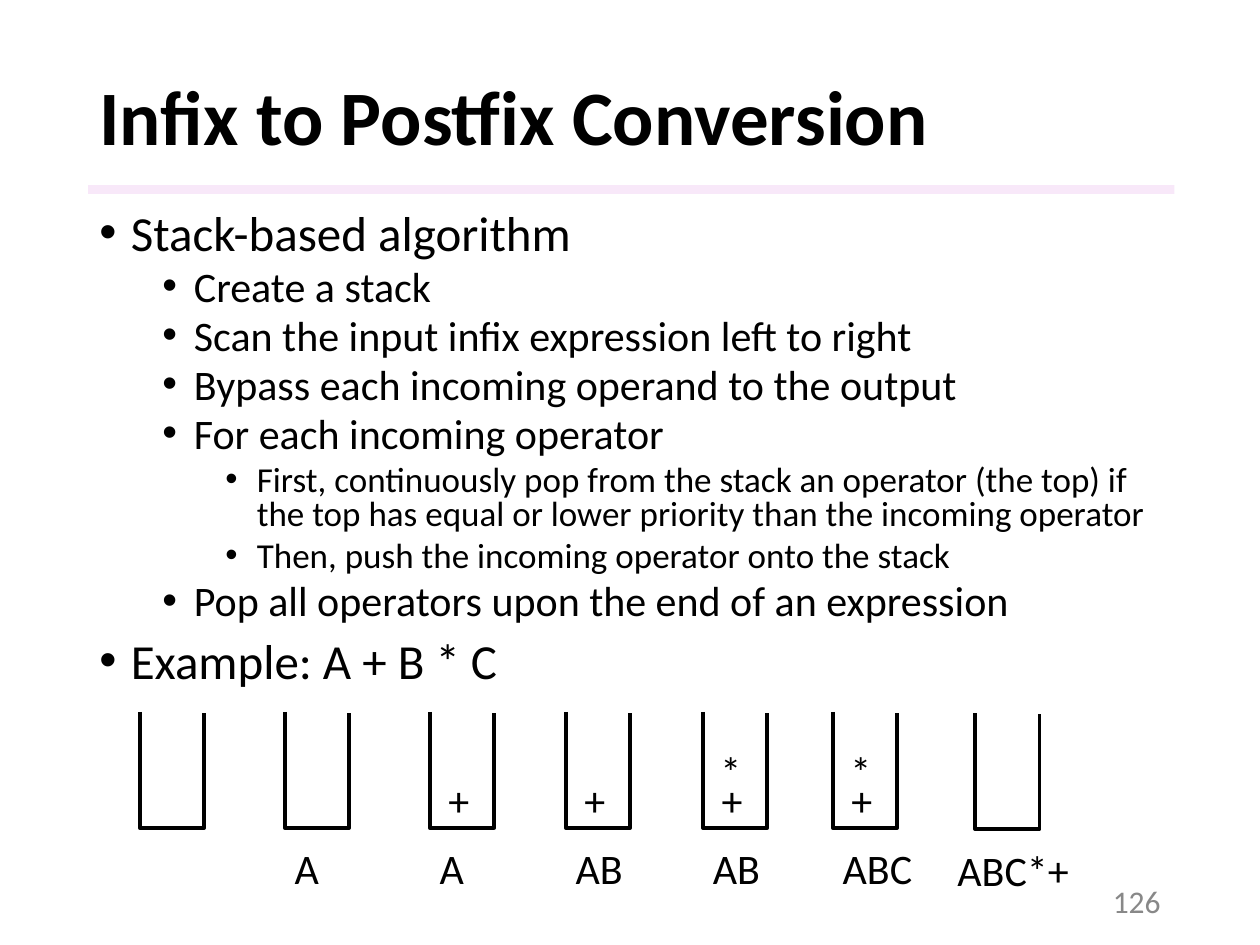
from dataclasses import dataclass

from lxml.etree import SubElement
from pptx import Presentation
from pptx.dml.color import RGBColor
from pptx.enum.shapes import MSO_SHAPE as Shape
from pptx.enum.text import MSO_ANCHOR as Anchor, PP_ALIGN as Align
from pptx.oxml.ns import qn
from pptx.util import Inches, Pt

FONT = "Calibri"
BLACK = "000000"
LEVEL_SIZES = (28, 24, 20)


@dataclass
class Point:
    text: str
    level: int = 0
    before: int = 5


@dataclass
class Step:
    """One state of the stack (bottom first) and the output so far."""
    left: float
    top: float = 5.65
    stack: str = ""
    output: str = ""
    output_width: float = 0.4
    output_shift: float = -0.02


POINTS = [
    Point("Stack-based algorithm", before=0),
    Point("Create a stack", 1),
    Point("Scan the input infix expression left to right", 1),
    Point("Bypass each incoming operand to the output", 1),
    Point("For each incoming operator", 1),
    Point("First, continuously pop from the stack an operator (the top) if "
          "the top has equal or lower priority than the incoming operator", 2),
    Point("Then, push the incoming operator onto the stack", 2),
    Point("Pop all operators upon the end of an expression", 1),
    Point("Example: A + B * C", before=10),
]

STEPS = [
    Step(1.11),
    Step(2.26, output="A"),
    Step(3.41, stack="+", output="A"),
    Step(4.49, stack="+", output="AB", output_width=0.58),
    Step(5.58, stack="+*", output="AB", output_width=0.58),
    Step(6.61, stack="+*", output="ABC", output_width=0.76),
    Step(7.74, top=5.66, output="ABC*+", output_width=1.09, output_shift=-0.24),
]


def color(value: str) -> RGBColor:
    return RGBColor.from_string(value)


def format_runs(paragraph, size: float, shade: str = BLACK, bold: bool = False) -> None:
    for run in paragraph.runs:
        run.font.name = FONT
        run.font.size = Pt(size)
        run.font.bold = bold
        run.font.color.rgb = color(shade)


def add_frame(slide, left: float, top: float, width: float, height: float,
              wrap: bool = True, anchor: Anchor = Anchor.TOP):
    frame = slide.shapes.add_textbox(
        Inches(left), Inches(top), Inches(width), Inches(height)).text_frame
    frame.word_wrap = wrap
    frame.vertical_anchor = anchor
    return frame


def add_label(slide, text: str, left: float, top: float, width: float) -> None:
    frame = add_frame(slide, left, top, width, 0.5, wrap=False)
    frame.text = text
    format_runs(frame.paragraphs[0], 24)


def add_bullet(paragraph, level: int) -> None:
    properties = paragraph._p.get_or_add_pPr()
    properties.set("marL", str(Inches(0.25 + 0.5 * level)))
    properties.set("indent", str(Inches(-0.25)))
    bullet_color = SubElement(properties, qn("a:buClr"))
    SubElement(bullet_color, qn("a:srgbClr"), val=BLACK)
    SubElement(properties, qn("a:buFont"), typeface="Arial")
    SubElement(properties, qn("a:buChar"), char="•")


def add_points(slide, points: list[Point]) -> None:
    frame = add_frame(slide, 0.69, 1.65, 8.62, 4.1)
    for index, point in enumerate(points):
        paragraph = frame.add_paragraph() if index else frame.paragraphs[0]
        paragraph.text = point.text
        paragraph.level = point.level
        add_bullet(paragraph, point.level)
        paragraph.line_spacing = 0.8
        paragraph.space_before = Pt(point.before)
        format_runs(paragraph, LEVEL_SIZES[point.level])


def add_step(slide, step: Step) -> None:
    """Draw an open-topped stack, its operators and the output below it."""
    right, bottom = step.left + 0.51, step.top + 0.92
    builder = slide.shapes.build_freeform(Inches(step.left), Inches(step.top))
    corners = [(step.left, bottom), (right, bottom), (right, step.top + 0.01)]
    builder.add_line_segments(
        [(Inches(x), Inches(y)) for x, y in corners], close=False)
    container = builder.convert_to_shape()
    container.shadow.inherit = False
    container.fill.background()
    container.line.color.rgb = color(BLACK)
    container.line.width = Pt(2.25)

    for depth, operator in enumerate(step.stack):
        add_label(slide, operator, step.left + 0.05 - 0.01 * depth,
                  step.top + 0.45 - 0.23 * depth, 0.37)
    if step.output:
        add_label(slide, step.output, step.left + step.output_shift,
                  step.top + 0.99, step.output_width)


def add_title(slide, text: str) -> None:
    rule = slide.shapes.add_shape(
        Shape.RECTANGLE, Inches(0.7), Inches(1.47), Inches(8.62), Inches(0.07))
    rule.shadow.inherit = False
    rule.line.fill.background()
    rule.fill.solid()
    rule.fill.fore_color.rgb = color("F3D2F4")
    rule_color = rule._element.spPr.find(f"{qn('a:solidFill')}/{qn('a:srgbClr')}")
    SubElement(rule_color, qn("a:alpha"), val="50000")

    frame = add_frame(slide, 0.69, 0.4, 8.62, 1.11, anchor=Anchor.MIDDLE)
    frame.text = text
    frame.paragraphs[0].line_spacing = 0.9
    format_runs(frame.paragraphs[0], 44, bold=True)


def add_page_number(slide, number: str) -> None:
    frame = add_frame(slide, 7.06, 6.95, 2.25, 0.4, anchor=Anchor.MIDDLE)
    frame.text = number
    frame.paragraphs[0].alignment = Align.RIGHT
    format_runs(frame.paragraphs[0], 18, "888888")


def main() -> None:
    presentation = Presentation()
    presentation.slide_width = Inches(10)
    presentation.slide_height = Inches(7.5)
    slide = presentation.slides.add_slide(presentation.slide_layouts[6])
    add_title(slide, "Infix to Postfix Conversion")
    add_points(slide, POINTS)
    add_page_number(slide, "126")
    for step in STEPS:
        add_step(slide, step)
    presentation.save("out.pptx")


if __name__ == "__main__":
    main()
